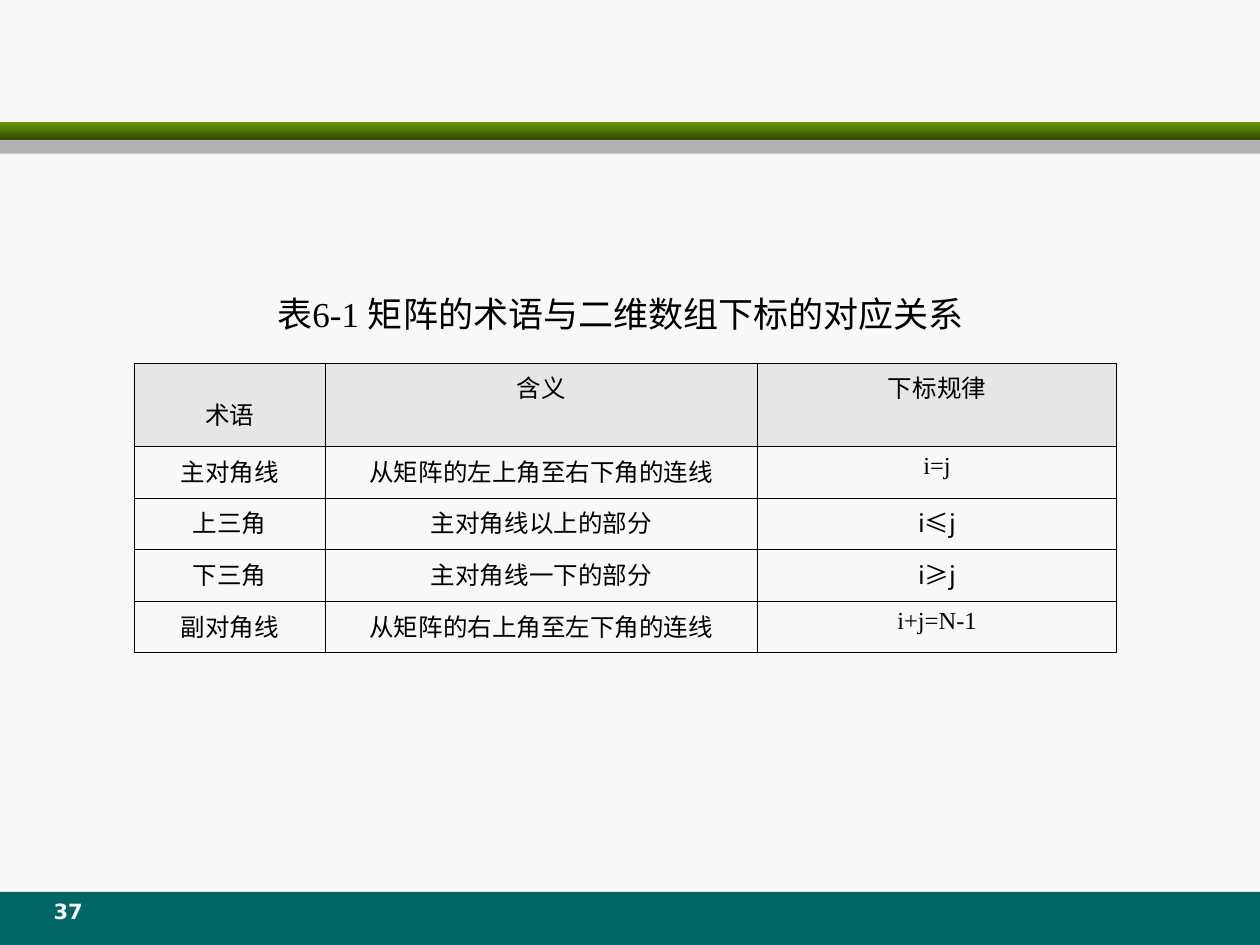
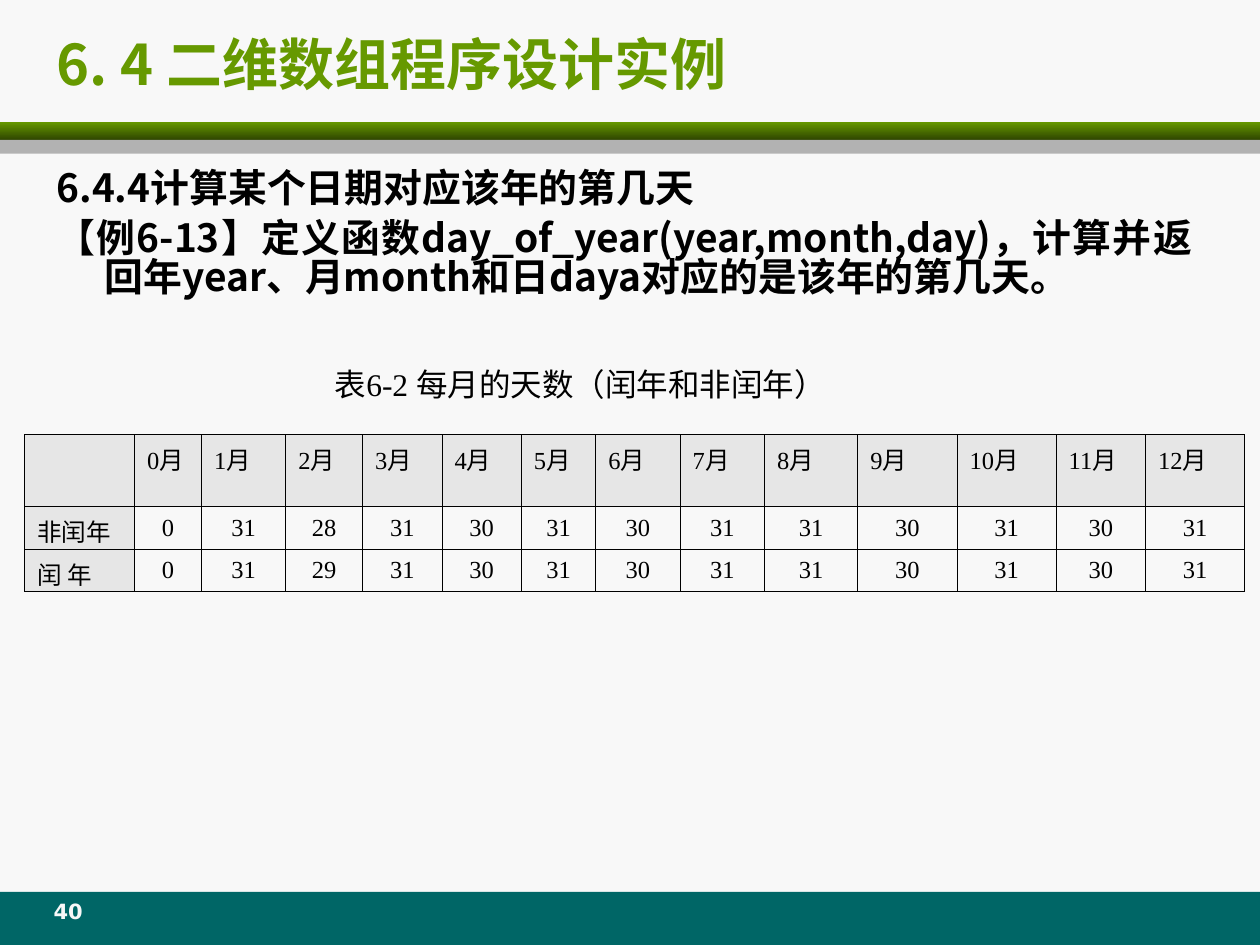
from lxml import etree
from pptx import Presentation
from pptx.dml.color import RGBColor
from pptx.enum import shapes, text
from pptx.oxml.ns import qn
from pptx.util import Cm, Pt

PAPER = RGBColor(0xF8, 0xF8, 0xF8)
TEAL = RGBColor(0x00, 0x66, 0x66)
GREEN = RGBColor(0x66, 0x99, 0x00)
MOSS = RGBColor(0x2F, 0x46, 0x00)
SILVER = RGBColor(0xB2, 0xB2, 0xB2)
HEAD = RGBColor(0xE6, 0xE6, 0xE6)
BLACK = RGBColor(0, 0, 0)

SERIF = "Times New Roman"
SANS = "Noto Sans CJK SC"
TITLE = "Noto Sans CJK JP"
DIGIT = "DejaVu Sans"

LEFT, MID, FULL = (text.PP_ALIGN.LEFT, text.PP_ALIGN.CENTER,
                   text.PP_ALIGN.JUSTIFY)
TOP, CORE = text.MSO_ANCHOR.TOP, text.MSO_ANCHOR.MIDDLE
WIDTH = 25.4


def write(frame, *lines, font=SERIF, size=14, color=BLACK, bold=False,
          align=LEFT, hang=0, gap=0, pitch=None):
    """Fill a text frame, one paragraph a line; hang is in cm, gap in points."""
    for i, line in enumerate(lines):
        para = frame.paragraphs[0] if i == 0 else frame.add_paragraph()
        para.alignment = align
        para.line_spacing = pitch
        if i and gap:
            para.space_before = Pt(gap)
        if hang:
            props = para._p.get_or_add_pPr()
            props.set("marL", str(Cm(hang)))
            props.set("indent", str(-Cm(hang)))
        run = para.add_run()
        run.text = line
        run.font.name, run.font.size = font, Pt(size)
        run.font.bold, run.font.color.rgb = bold, color
        east = etree.SubElement(run._r.get_or_add_rPr(), qn("a:ea"))
        east.set("typeface", SANS if font == SERIF else font)


def label(slide, place, *lines, anchor=TOP, **look):
    frame = slide.shapes.add_textbox(*map(Cm, place)).text_frame
    frame.word_wrap = True
    frame.vertical_anchor = anchor
    write(frame, *lines, **look)


def band(slide, top, height, color, end=None):
    """Draw a full-width bar, shaded downwards to end if that is given."""
    bar = slide.shapes.add_shape(shapes.MSO_SHAPE.RECTANGLE, 0, Cm(top),
                                 Cm(WIDTH), Cm(height))
    bar.shadow.inherit = False
    bar.line.fill.background()
    if end is None:
        bar.fill.solid()
        bar.fill.fore_color.rgb = color
    else:
        bar.fill.gradient()
        bar.fill.gradient_angle = 270
        for stop, tone in zip(bar.fill.gradient_stops, (color, end)):
            stop.color.rgb = tone


def page(deck, number):
    """Add a slide with the shared background, bands and page number."""
    slide = deck.slides.add_slide(deck.slide_layouts[6])
    slide.background.fill.solid()
    slide.background.fill.fore_color.rgb = PAPER
    band(slide, 17.98, 1.07, TEAL)
    band(slide, 2.46, 0.36, GREEN, MOSS)
    band(slide, 2.82, 0.28, SILVER)
    label(slide, (0.64, 17.98, 1.47, 0.84), str(number), font=DIGIT, size=12,
          color=PAPER, bold=True, align=MID)
    return slide


def border(cell):
    props = cell._tc.get_or_add_tcPr()
    for i, side in enumerate("LRTB"):
        line = etree.Element(qn("a:ln" + side), w=str(Pt(0.45)))
        fill = etree.SubElement(line, qn("a:solidFill"))
        etree.SubElement(fill, qn("a:srgbClr"), val=str(BLACK))
        props.insert(i, line)


def table(slide, left, top, widths, heights, rows, style):
    """Add a ruled table; style(r, c) gives shade, anchor and text format."""
    grid = slide.shapes.add_table(
        len(rows), len(widths), Cm(left), Cm(top),
        Cm(sum(widths)), Cm(sum(heights))).table
    grid.first_row = grid.horz_banding = False
    for col, width in zip(grid.columns, widths):
        col.width = Cm(width)
    for r, row in enumerate(rows):
        grid.rows[r].height = Cm(heights[r])
        for c, words in enumerate(row):
            cell = grid.cell(r, c)
            shade, anchor, look = style(r, c)
            if shade:
                cell.fill.solid()
                cell.fill.fore_color.rgb = HEAD
            else:
                cell.fill.background()
            border(cell)
            cell.vertical_anchor = anchor
            if words:
                write(cell.text_frame, words, **look)
    return grid


def terms(deck):
    slide = page(deck, 37)
    label(slide, (5.11, 5.77, 14.81, 1.12), "表6-1 矩阵的术语与二维数组下标的对应关系",
          size=20, align=MID, anchor=CORE)
    rows = [
        ("术语", "含义", "下标规律"),
        ("主对角线", "从矩阵的左上角至右下角的连线", "i=j"),
        ("上三角", "主对角线以上的部分", "i≤j"),
        ("下三角", "主对角线一下的部分", "i≥j"),
        ("副对角线", "从矩阵的右上角至左下角的连线", "i+j=N-1"),
    ]

    def style(r, c):
        font = SANS if set(rows[r][c]) & set("≤≥") else SERIF
        return r == 0, TOP, dict(align=MID, font=font)

    grid = table(slide, 2.7, 7.32, (3.86, 8.71, 7.24), [1.68] + [1.04] * 4,
                 rows, style)
    grid.cell(0, 0).margin_top = Cm(0.67)


def days(deck):
    slide = page(deck, 40)
    label(slide, (0.89, 0.53, 22.15, 1.5), "6. 4 二维数组程序设计实例", font=TITLE,
          size=32, color=GREEN, bold=True, anchor=CORE)
    label(slide, (0.89, 3.33, 23.39, 3.99),
          "6.4.4计算某个日期对应该年的第几天",
          "【例6-13】定义函数day_of_year(year,month,day)，计算并返回年year、"
          "月month和日daya对应的是该年的第几天。",
          font=SANS, size=22.2, bold=True, align=FULL, hang=0.97, gap=6,
          pitch=0.84)
    label(slide, (6.5, 7.24, 11.61, 1.1), "表6-2 每月的天数（闰年和非闰年）", size=18)
    plain = [0, 31, 28, 31, 30, 31, 30, 31, 31, 30, 31, 30, 31]
    leap = plain[:2] + [29] + plain[3:]
    rows = [
        [""] + [f"{month}月" for month in range(13)],
        ["非闰年"] + [str(n) for n in plain],
        ["闰 年"] + [str(n) for n in leap],
    ]

    def style(r, c):
        if r == 0 or c == 0:
            return True, TOP, {}
        return False, CORE, dict(align=MID)

    widths = (2.21, 1.35, 1.7, 1.55, 1.6, 1.6, 1.5, 1.7, 1.7, 1.88, 2, 2,
              1.8, 2)
    table(slide, 0.5, 8.76, widths, (1.45, 0.86, 0.86), rows, style)


def main():
    deck = Presentation()
    deck.slide_width, deck.slide_height = Cm(WIDTH), Cm(19.05)
    terms(deck)
    days(deck)
    deck.save("out.pptx")


if __name__ == "__main__":
    main()
